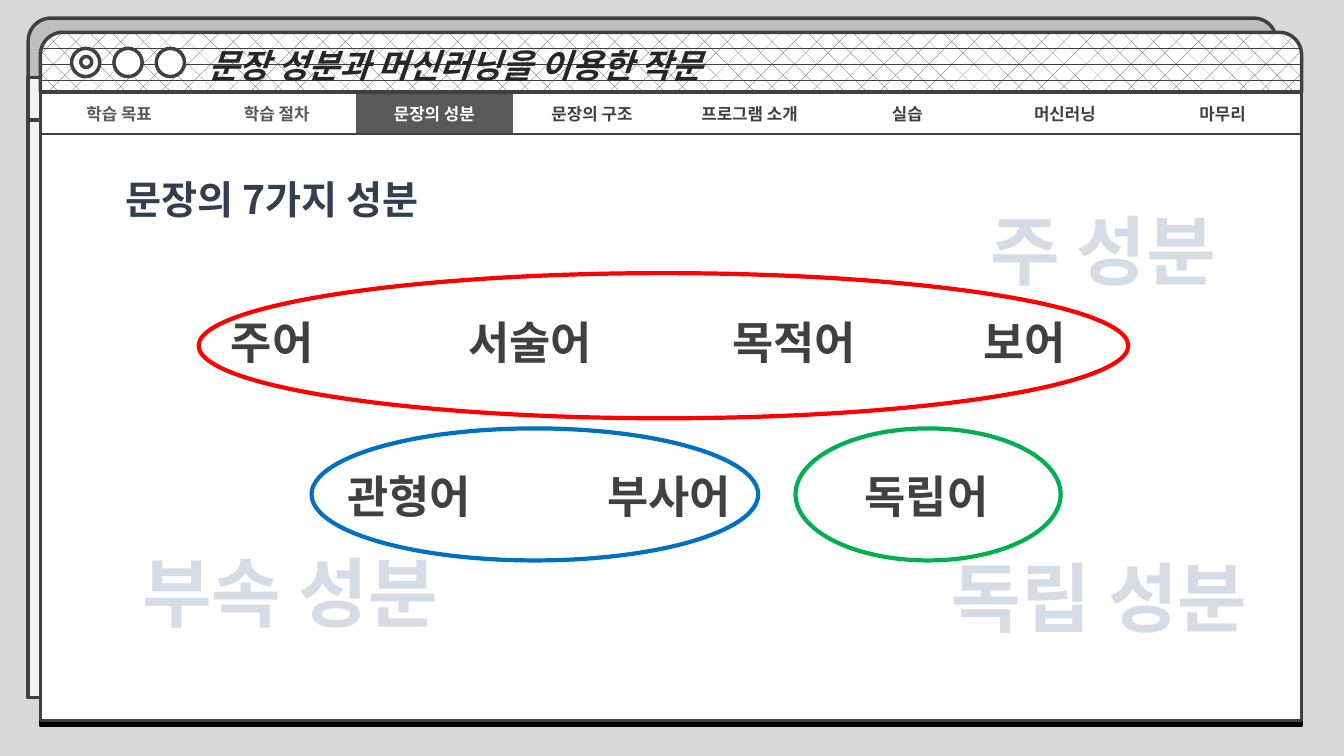
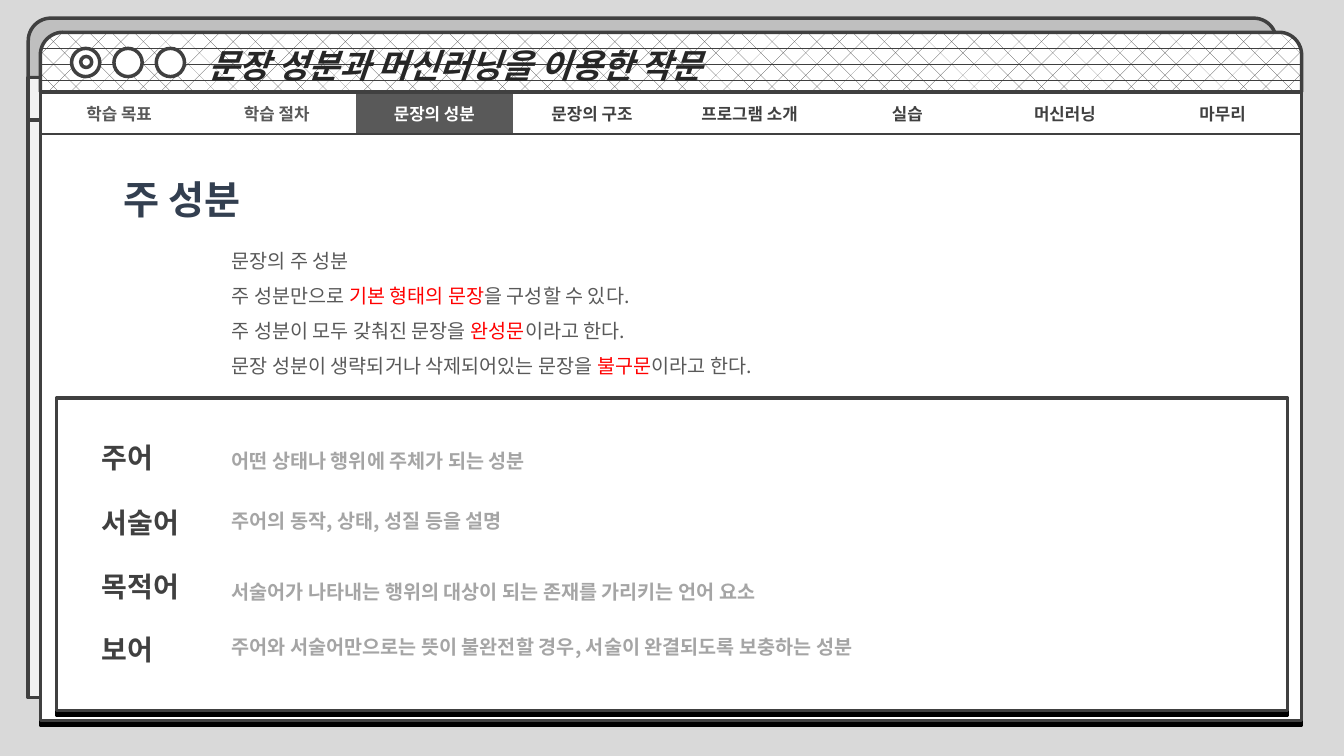
"""Build two lesson slides framed as a browser window with a row of tabs."""
from dataclasses import dataclass
from typing import Any, Optional

from lxml import etree
from pptx import Presentation
from pptx.dml.color import RGBColor
from pptx.enum import dml, shapes, text
from pptx.oxml import ns
from pptx.util import Inches, Pt

FONT = "Noto Sans CJK KR"
DARK = RGBColor(0x40, 0x40, 0x40)
GRAY = RGBColor(0x59, 0x59, 0x59)
LIGHT_TEXT = RGBColor(0xA5, 0xA5, 0xA5)
INK = RGBColor(0x26, 0x26, 0x26)
NAVY = RGBColor(0x33, 0x3F, 0x50)
PALE_BLUE = RGBColor(0xD6, 0xDC, 0xE5)
WHITE = RGBColor(0xFF, 0xFF, 0xFF)
BACKDROP = RGBColor(0xD9, 0xD9, 0xD9)
SILVER = RGBColor(0xBF, 0xBF, 0xBF)
PAPER = RGBColor(0xF2, 0xF2, 0xF2)
RED = RGBColor(0xFF, 0x00, 0x00)
BLUE = RGBColor(0x00, 0x70, 0xC0)
GREEN = RGBColor(0x00, 0xB0, 0x50)

RECTANGLE = shapes.MSO_SHAPE.RECTANGLE
ROUNDED_TOP = shapes.MSO_SHAPE.ROUND_2_SAME_RECTANGLE
OVAL = shapes.MSO_SHAPE.OVAL
LEFT, CENTER = text.PP_ALIGN.LEFT, text.PP_ALIGN.CENTER

HEADER = "문장 성분과 머신러닝을 이용한 작문"
TABS = ("학습 목표", "학습 절차", "문장의 성분", "문장의 구조",
        "프로그램 소개", "실습", "머신러닝", "마무리")
ACTIVE_TAB = 2
GRAY_TABS = 2


@dataclass(frozen=True)
class Box:
    """A rectangle in inches."""
    left: float
    top: float
    width: float
    height: float

    def lengths(self) -> tuple:
        """Return the four measures as lengths."""
        return tuple(Inches(v) for v in (self.left, self.top, self.width, self.height))


@dataclass(frozen=True)
class Outline:
    """A preset shape with its fill, line and optional hard shadow."""
    kind: Any
    box: Box
    fill: Optional[RGBColor] = WHITE
    line: RGBColor = DARK
    weight: float = 2.5
    shadow: bool = False


@dataclass(frozen=True)
class TextStyle:
    """The look of a text block."""
    size: int
    color: RGBColor
    bold: bool = True
    italic: bool = False
    align: Any = LEFT
    spacing: float = 1.0


@dataclass(frozen=True)
class Component:
    """A sentence component with its definition and the tops of both."""
    name: str
    name_top: float
    definition: str
    definition_top: float


TITLE = TextStyle(28, NAVY, spacing=1.5)
CENTERED_TITLE = TextStyle(28, NAVY, align=CENTER, spacing=1.5)
WORD = TextStyle(32, DARK, align=CENTER)
GROUP_NAME = TextStyle(54, PALE_BLUE, align=CENTER)
BODY = TextStyle(14, GRAY, bold=False, spacing=1.5)
TERM = TextStyle(20, DARK)
DEFINITION = TextStyle(14, LIGHT_TEXT)
HEADER_STYLE = TextStyle(24, INK, italic=True)

BACK_WINDOW = (
    Outline(ROUNDED_TOP, Box(0.28, 0.18, 12.38, 0.59), SILVER),
    Outline(RECTANGLE, Box(0.28, 1.19, 12.38, 5.73), PAPER),
    Outline(RECTANGLE, Box(0.28, 0.77, 12.38, 0.42), PAPER),
)
TITLE_BAR = Outline(ROUNDED_TOP, Box(0.4, 0.32, 12.51, 0.59))
PAGE = Outline(RECTANGLE, Box(0.4, 1.32, 12.51, 5.83), shadow=True)
BUTTONS = tuple(Outline(OVAL, Box(0.71 + 0.42 * i, 0.48, 0.28, 0.28)) for i in range(3))
BUTTON_DOT = Outline(OVAL, Box(0.8, 0.56, 0.11, 0.11))
TAB_ROW = Box(0.4, 0.92, 12.51, 0.41)

WORD_WIDTH = 1.56
WORD_ROWS = (
    (3.07, (("주어", 2.7), ("서술어", 5.26), ("목적어", 7.88), ("보어", 10.16))),
    (4.6, (("관형어", 4.06), ("부사어", 6.64), ("독립어", 9.19))),
)
RINGS = (
    Outline(OVAL, Box(1.97, 2.71, 9.22, 1.44), None, RED, 3),
    Outline(OVAL, Box(3.09, 4.25, 4.43, 1.31), None, BLUE, 3),
    Outline(OVAL, Box(7.89, 4.25, 2.63, 1.31), None, GREEN, 3),
)
GROUP_NAMES = (
    ("주 성분", Box(9.57, 1.97, 2.74, 1.01)),
    ("부속 성분", Box(1.13, 5.37, 3.49, 1.01)),
    ("독립 성분", Box(9.17, 5.42, 3.47, 1.01)),
)
EXPLANATION = (
    (("문장의 주 성분", GRAY),),
    (("주 성분만으로 ", GRAY), ("기본 형태의 문장", RED), ("을 구성할 수 있다.", GRAY)),
    (("주 성분이 모두 갖춰진 문장을 ", GRAY), ("완성문", RED), ("이라고 한다.", GRAY)),
    (("문장 성분이 생략되거나 삭제되어있는 문장을 ", GRAY), ("불구문", RED),
     ("이라고 한다.", GRAY)),
)
PANEL = Outline(RECTANGLE, Box(0.56, 3.95, 12.21, 3.1), shadow=True)
COMPONENTS = (
    Component("주어", 4.32, "어떤 상태나 행위에 주체가 되는 성분", 4.4),
    Component("서술어", 4.97, "주어의 동작, 상태, 성질 등을 설명", 5.0),
    Component("목적어", 5.6, "서술어가 나타내는 행위의 대상이 되는 존재를 가리키는 언어 요소", 5.7),
    Component("보어", 6.23, "주어와 서술어만으로는 뜻이 불완전할 경우, 서술이 완결되도록 보충하는 성분", 6.25),
)


def set_values(target: Any, values: dict) -> None:
    """Set each named attribute of the target."""
    for name, value in values.items():
        setattr(target, name, value)


def add_child(parent: Any, tag: str, **attributes: str) -> Any:
    """Append an XML element with the given attributes."""
    return etree.SubElement(parent, ns.qn(tag), attributes)


def add_outline(container: Any, outline: Outline) -> Any:
    """Draw a preset shape in a slide or group."""
    shape = container.shapes.add_shape(outline.kind, *outline.box.lengths())
    shape.shadow.inherit = False
    if outline.kind == ROUNDED_TOP:
        shape.adjustments[0] = 0.38
    if outline.fill is None:
        shape.fill.background()
    else:
        shape.fill.solid()
        shape.fill.fore_color.rgb = outline.fill
    shape.line.color.rgb = outline.line
    shape.line.width = Pt(outline.weight)
    if outline.shadow:
        effects = shape._element.spPr.find(ns.qn("a:effectLst"))
        shadow = add_child(effects, "a:outerShdw", dist=str(Pt(3)), dir="5400000",
                           algn="t", rotWithShape="0")
        add_child(shadow, "a:srgbClr", val="000000")
    return shape


def add_run(paragraph: Any, words: str, style: TextStyle,
            color: Optional[RGBColor] = None) -> None:
    """Add a run in the shared font."""
    run = paragraph.add_run()
    run.text = words
    set_values(run.font, {"name": FONT, "size": Pt(style.size),
                          "bold": style.bold, "italic": style.italic})
    run.font.color.rgb = color or style.color
    add_child(run.font._element, "a:ea", typeface=FONT)


def add_text(container: Any, box: Box, lines: tuple, style: TextStyle) -> None:
    """Add a text box whose lines are tuples of coloured pieces."""
    frame = container.shapes.add_textbox(*box.lengths()).text_frame
    set_values(frame, {"word_wrap": True,
                       "auto_size": text.MSO_AUTO_SIZE.SHAPE_TO_FIT_TEXT})
    for index, pieces in enumerate(lines):
        paragraph = frame.add_paragraph() if index else frame.paragraphs[0]
        set_values(paragraph, {"alignment": style.align, "line_spacing": style.spacing})
        for words, color in pieces:
            add_run(paragraph, words, style, color)


def add_label(container: Any, box: Box, words: str, style: TextStyle) -> None:
    """Add a text box with one line in one colour."""
    add_text(container, box, (((words, style.color),),), style)


def set_border(cell: Any, sides: str) -> None:
    """Draw the named sides of a cell and clear the others."""
    properties = cell._tc.get_or_add_tcPr()
    for index, side in enumerate("LRTB"):
        line = etree.Element(ns.qn(f"a:ln{side}"), {"w": str(Pt(2.25))})
        if side in sides:
            fill = add_child(line, "a:solidFill")
            add_child(fill, "a:srgbClr", val=str(DARK))
        else:
            add_child(line, "a:noFill")
        properties.insert(index, line)


def add_tabs(slide: Any) -> None:
    """Add the row of tabs with the active one dark."""
    table = slide.shapes.add_table(1, len(TABS), *TAB_ROW.lengths()).table
    set_values(table, {"first_row": False, "horz_banding": False})
    for index, name in enumerate(TABS):
        active = index == ACTIVE_TAB
        color = WHITE if active else GRAY if index < GRAY_TABS else DARK
        cell = table.cell(0, index)
        cell.vertical_anchor = text.MSO_ANCHOR.MIDDLE
        cell.fill.solid()
        cell.fill.fore_color.rgb = GRAY if active else WHITE
        ends = {0: "L", len(TABS) - 1: "R"}
        set_border(cell, "TB" + ends.get(index, ""))
        paragraph = cell.text_frame.paragraphs[0]
        paragraph.alignment = CENTER
        add_run(paragraph, name, TextStyle(12, color))


def add_title_bar(slide: Any) -> None:
    """Add the patterned bar that carries the header."""
    bar = add_outline(slide, TITLE_BAR)
    bar.fill.patterned()
    bar.fill.pattern = dml.MSO_PATTERN.DIVOT
    bar.fill.fore_color.rgb = DARK
    bar.fill.back_color.rgb = WHITE
    bar.text_frame.vertical_anchor = text.MSO_ANCHOR.MIDDLE
    paragraph = bar.text_frame.paragraphs[0]
    set_values(paragraph, {"level": 3, "alignment": LEFT})
    properties = paragraph._p.get_or_add_pPr()
    properties.set("marL", str(Inches(1.5)))
    properties.set("indent", "0")
    add_run(paragraph, HEADER, HEADER_STYLE)


def add_window_slide(presentation: Any) -> Any:
    """Add a blank slide with the window frame."""
    slide = presentation.slides.add_slide(presentation.slide_layouts[6])
    slide.background.fill.solid()
    slide.background.fill.fore_color.rgb = BACKDROP
    back_window = slide.shapes.add_group_shape()
    for outline in BACK_WINDOW:
        add_outline(back_window, outline)
    add_title_bar(slide)
    for outline in (PAGE, *BUTTONS, BUTTON_DOT):
        add_outline(slide, outline)
    add_tabs(slide)
    return slide


def build_overview(presentation: Any) -> None:
    """Add the slide that groups the seven components."""
    slide = add_window_slide(presentation)
    add_label(slide, Box(0.15, 1.46, 5.1, 0.72), "문장의 7가지 성분", CENTERED_TITLE)
    for top, words in WORD_ROWS:
        for word, center in words:
            box = Box(center - WORD_WIDTH / 2, top, WORD_WIDTH, 0.64)
            add_label(slide, box, word, WORD)
    for ring in RINGS:
        add_outline(slide, ring)
    for name, box in GROUP_NAMES:
        add_label(slide, box, name, GROUP_NAME)


def build_main_components(presentation: Any) -> None:
    """Add the slide that defines the main components."""
    slide = add_window_slide(presentation)
    add_label(slide, Box(1.13, 1.46, 2.21, 0.81), "주 성분", TITLE)
    add_text(slide, Box(2.2, 2.3, 8.86, 1.51), EXPLANATION, BODY)
    add_outline(slide, PANEL)
    terms = slide.shapes.add_group_shape()
    for item in COMPONENTS:
        add_label(terms, Box(0.91, item.name_top, 1.56, 0.44), item.name, TERM)
        add_label(slide, Box(2.2, item.definition_top, 9.73, 0.34), item.definition, DEFINITION)


def main() -> None:
    """Build and save the presentation."""
    presentation = Presentation()
    set_values(presentation, {"slide_width": Inches(13.33), "slide_height": Inches(7.5)})
    build_overview(presentation)
    build_main_components(presentation)
    presentation.save("out.pptx")


if __name__ == "__main__":
    main()
